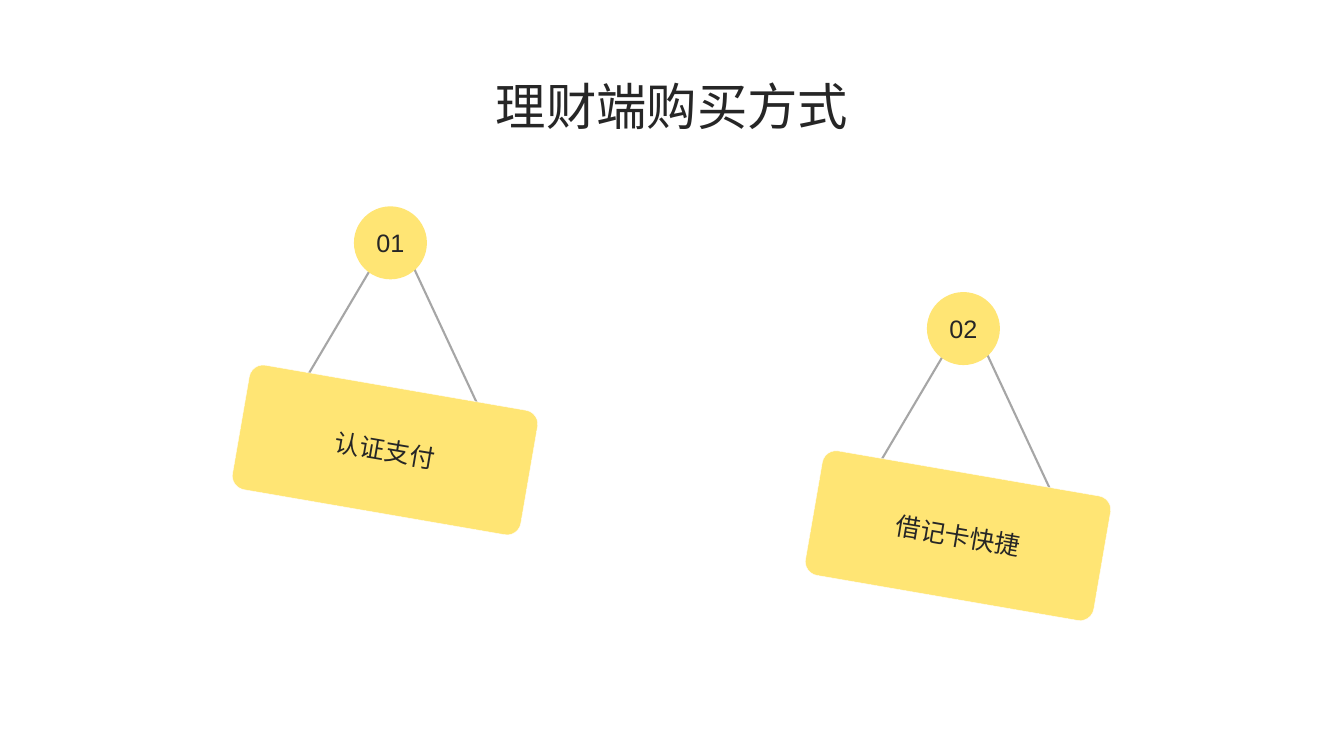
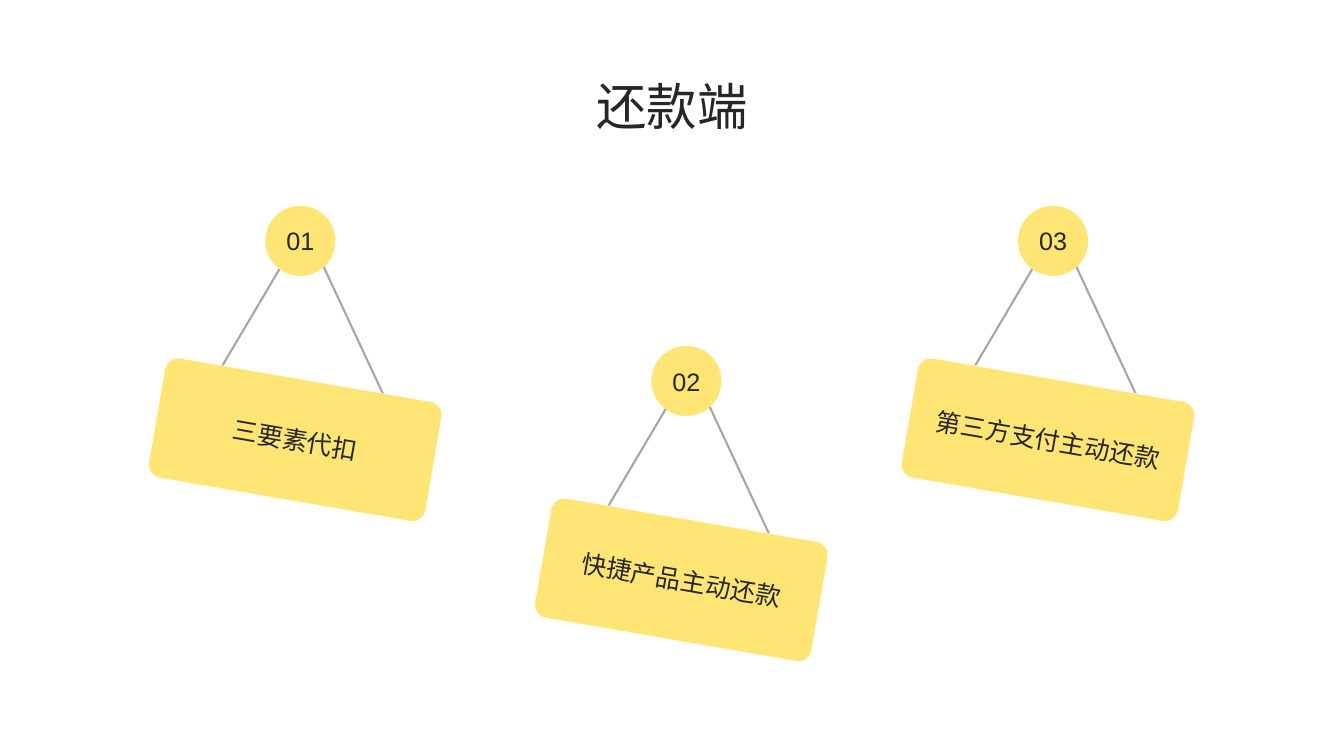
"""Build two slides of numbered hanging signs showing payment methods."""
from pptx import Presentation
from pptx.dml.color import RGBColor
from pptx.enum.shapes import MSO_SHAPE as SHAPE
from pptx.enum.text import MSO_ANCHOR as ANCHOR, PP_ALIGN as ALIGN
from pptx.util import Cm, Pt

YELLOW, GREY, INK, WHITE = "FFE574", "A6A6A6", "262626", "FFFFFF"
FONT = "Arial"
DISC = 1.84
PLATE = (-3.82, 3.63, 7.37, 3.18)
ROPE = [(-2.15, 3.45), (-0.09, -0.03), (0.34, 0.1), (2.55, 4.83)]

SLIDES = [
    ("理财端购买方式", 1, [
        (9.84, 6.12, "认证支付"),
        (24.28, 8.28, "借记卡快捷"),
    ]),
    ("还款端", 0.96, [
        (7.57, 6.07, "三要素代扣"),
        (17.3, 9.6, "快捷产品主动还款"),
        (26.54, 6.07, "第三方支付主动还款"),
    ]),
]


def rgb(color):
    """Turn a hex string into a colour."""
    return RGBColor.from_string(color)


def set_text(shape, text, size):
    """Write one centred line into a shape."""
    tf = shape.text_frame
    tf.text = text
    tf.word_wrap = True
    tf.vertical_anchor = ANCHOR.MIDDLE
    p = tf.paragraphs[0]
    p.alignment = ALIGN.CENTER
    p.font.name = FONT
    p.font.size = Pt(size)
    p.font.color.rgb = rgb(INK)
    return tf


prs = Presentation()
prs.slide_width, prs.slide_height = Cm(33.87), Cm(19.05)

for title, scale, signs in SLIDES:
    s = prs.slides.add_slide(prs.slide_layouts[5])
    head = s.shapes.title
    head.left, head.top, head.width, head.height = Cm(2.33), Cm(1.68), Cm(29.21), Cm(2.16)
    set_text(head, title, 36).paragraphs[0].line_spacing = 0.9

    for number, (cx, cy, label) in enumerate(signs, 1):
        points = [(Cm(cx + x * scale), Cm(cy + y * scale)) for x, y in ROPE]
        builder = s.shapes.build_freeform(*points[0])
        builder.add_line_segments(points[1:], close=False)
        rope = builder.convert_to_shape()
        rope.shadow.inherit = False
        rope.fill.background()
        rope.line.color.rgb = rgb(GREY)
        rope.line.width = Pt(1.5)

        x, y, w, h = [v * scale for v in PLATE]
        d = DISC * scale
        plate = s.shapes.add_shape(SHAPE.ROUNDED_RECTANGLE, Cm(cx + x), Cm(cy + y), Cm(w), Cm(h))
        plate.adjustments[0] = 0.11
        plate.rotation = 9.8
        plate.line.color.rgb = rgb(WHITE)
        plate.line.width = Pt(0.25)
        disc = s.shapes.add_shape(SHAPE.OVAL, Cm(cx - d / 2), Cm(cy - d / 2), Cm(d), Cm(d))
        disc.line.fill.background()

        for sp, text in ((plate, label), (disc, f"{number:02}")):
            sp.shadow.inherit = False
            sp.fill.solid()
            sp.fill.fore_color.rgb = rgb(YELLOW)
            tf = set_text(sp, text, 18)
            tf.margin_left = tf.margin_right = tf.margin_top = tf.margin_bottom = 0

prs.save("out.pptx")
